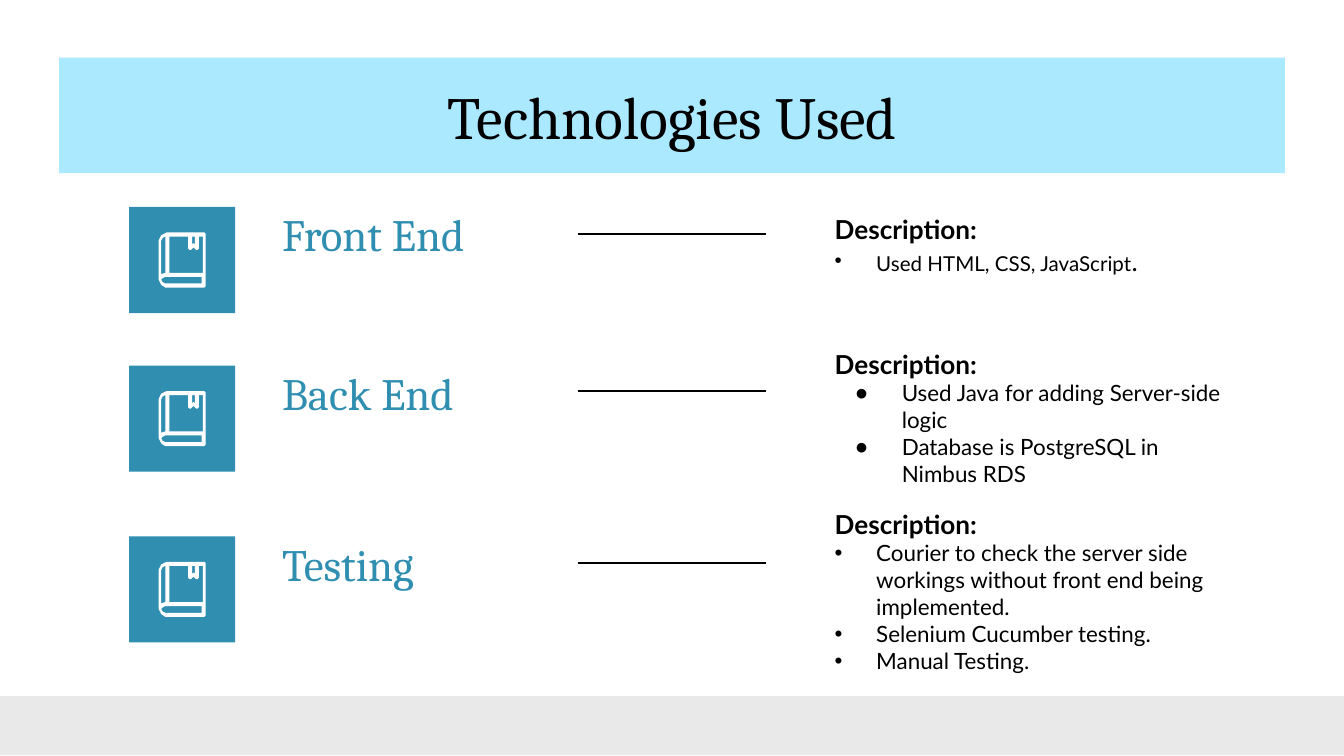
from lxml import etree
from pptx import Presentation
from pptx.dml.color import RGBColor
from pptx.enum.shapes import MSO_CONNECTOR, MSO_SHAPE
from pptx.enum.text import MSO_ANCHOR, MSO_AUTO_SIZE, PP_ALIGN
from pptx.oxml.ns import qn
from pptx.util import Inches, Pt

BLACK, TEAL, SKY, GRAY, WHITE = "000000", "308FB1", "AAE9FF", "E9E9E9", "FFFFFF"

BOOK = [
    [(27, 3), (27, 9), (26, 8), (25, 9), (25, 3)],
    [(33, 3), (33, 30), (8, 30), (8, 3), (22, 3), (22, 12), (23, 13),
     (24, 13), (26, 11), (28, 13), (29, 13), (30, 12), (30, 3)],
    [(5, 3), (5, 30), (2, 31), (2, 6), (3, 4)],
    [(32, 33), (32, 38), (5, 38), (3, 37), (2, 35), (3, 34), (5, 33)],
    [(6, 0), (2, 2), (0, 6), (0, 35), (2, 39), (5, 41), (34, 41),
     (35, 40), (35, 1), (34, 0)],
]

ROWS = [
    ("Front End", 1.54, 1.74, 1.49, "•", 0.31, 0.31,
     [[("Used HTML, CSS, JavaScript", 11), (".", 14)]]),
    ("Back End", 2.72, 2.91, 2.49, "●", 0.5, 0.35, [
        [("Used Java for adding Server-side logic", 12)],
        [("Database is PostgreSQL in Nimbus RDS", 12)],
    ]),
    ("Testing", 3.99, 4.19, 3.68, "•", 0.31, 0.31, [
        [("Courier to check the server side workings without front end being implemented.", 12)],
        [("Selenium Cucumber testing.", 12)],
        [("Manual Testing.", 12)],
    ]),
]


def rgb(color):
    return RGBColor.from_string(color)


def paint(sp, color):
    sp.shadow.inherit = False
    sp.fill.solid()
    sp.fill.fore_color.rgb = rgb(color)
    sp.line.fill.background()


def add_rect(s, x, y, w, h, color):
    sp = s.shapes.add_shape(MSO_SHAPE.RECTANGLE, Inches(x), Inches(y), Inches(w), Inches(h))
    paint(sp, color)
    return sp


def place(sp, x, y, w, h, anchor):
    sp.left, sp.top, sp.width, sp.height = Inches(x), Inches(y), Inches(w), Inches(h)
    tf = sp.text_frame
    tf.word_wrap = True
    tf.auto_size = MSO_AUTO_SIZE.NONE
    tf.vertical_anchor = anchor
    tf.margin_left = tf.margin_right = tf.margin_top = tf.margin_bottom = Inches(0.1)
    return tf


def add_run(p, text, size, font, color=BLACK, bold=False):
    r = p.add_run()
    r.text = text
    r.font.size, r.font.name, r.font.bold = Pt(size), font, bold
    r.font.color.rgb = rgb(color)


def set_bullet(p, char=None, left=0, hanging=0):
    p.space_before = p.space_after = Pt(0)
    pPr = p._p.get_or_add_pPr()
    pPr.set("marL", str(Inches(left)))
    pPr.set("indent", str(-Inches(hanging)))
    if char:
        etree.SubElement(pPr, qn("a:buChar")).set("char", char)
    else:
        etree.SubElement(pPr, qn("a:buNone"))


def add_banner(s, x, y, w, h):
    sp = add_rect(s, x, y, w, h, SKY)
    s.shapes._spTree.insert(2, sp._element)
    tf = place(s.shapes.title, x + 0.35, y + 0.06, w - 0.69, 0.63, MSO_ANCHOR.TOP)
    p = tf.paragraphs[0]
    p.alignment = PP_ALIGN.CENTER
    add_run(p, "Technologies Used", 32, "Cambria")


def add_icon(s, x, y, size):
    add_rect(s, x, y, size, size, TEAL)
    first, *rest = BOOK
    builder = s.shapes.build_freeform(*first[0], scale=Inches(0.01))
    builder.add_line_segments(first[1:], close=True)
    for contour in rest:
        builder.move_to(*contour[0])
        builder.add_line_segments(contour[1:], close=True)
    paint(builder.convert_to_shape(Inches(x + 0.22), Inches(y + 0.19)), WHITE)


def add_rule(s, x, y, w):
    line = s.shapes.add_connector(
        MSO_CONNECTOR.STRAIGHT, Inches(x), Inches(y), Inches(x + w), Inches(y))
    line.line.color.rgb = rgb(BLACK)
    line.line.width = Pt(0.75)
    etree.SubElement(line._element.spPr, qn("a:effectLst"))


def fill_description(sp, x, y, w, h, char, left, hanging, items):
    tf = place(sp, x, y, w, h, MSO_ANCHOR.TOP)
    p = tf.paragraphs[0]
    set_bullet(p)
    add_run(p, "Description:", 14, "Lato", bold=True)
    for item in items:
        p = tf.add_paragraph()
        set_bullet(p, char, left, hanging)
        for text, size in item:
            add_run(p, text, size, "Lato")


def add_row(s, body, x, heading, y, rule_y, body_y, *bullets):
    add_icon(s, x, y, 0.79)
    box = s.shapes.add_textbox(0, 0, 0, 0)
    tf = place(box, x + 1.04, y + 0.03, 2.38, 0.34, MSO_ANCHOR.MIDDLE)
    add_run(tf.paragraphs[0], heading, 24, "Cambria", TEAL)
    add_rule(s, x + 3.34, rule_y, 1.4)
    fill_description(body, x + 5.15, body_y, 3.11, 0.97, *bullets)


def main():
    prs = Presentation()
    prs.slide_width = Inches(10)
    prs.slide_height = prs.slide_width * 9 // 16
    s = prs.slides.add_slide(prs.slide_layouts.get_by_name("Comparison"))
    _, *bodies, spare = s.placeholders
    spare._element.getparent().remove(spare._element)
    add_banner(s, 0.44, 0.43, 9.12, 0.86)
    for body, row in zip(bodies, ROWS):
        add_row(s, body, 0.96, *row)
    add_rect(s, 0, 5.18, 10, 0.44, GRAY)
    prs.save("out.pptx")


if __name__ == "__main__":
    main()
